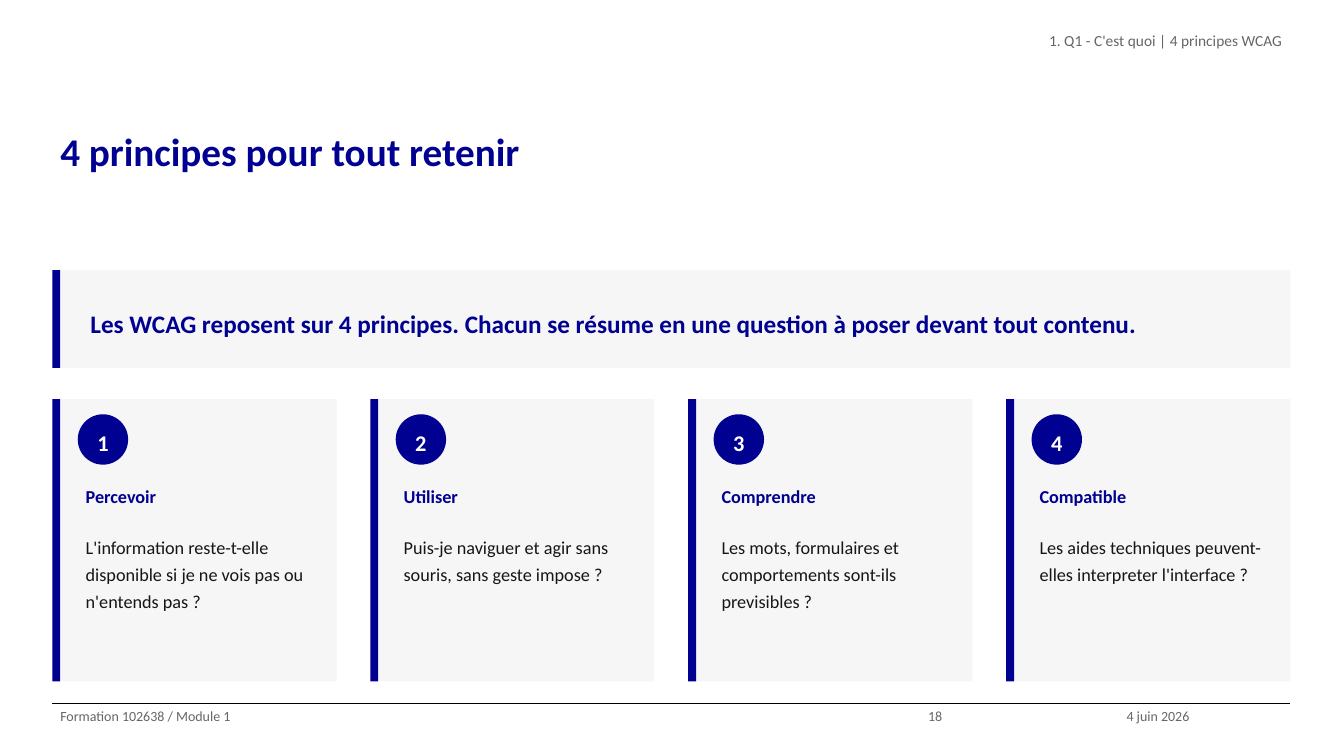
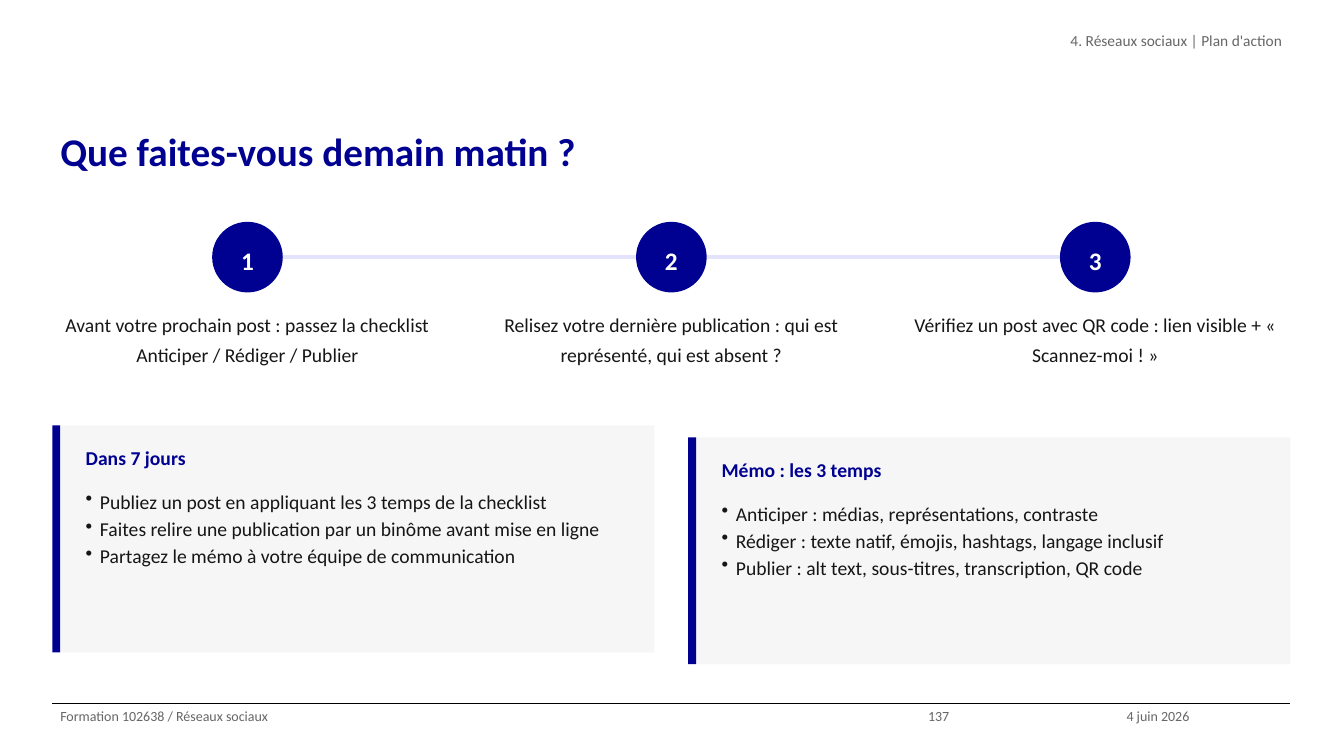
from lxml import etree
from pptx import Presentation
from pptx.dml.color import RGBColor
from pptx.enum import shapes, text
from pptx.oxml.ns import qn
from pptx.util import Cm, Pt

# Content
PRINCIPLES = {
    "title": "4 principes pour tout retenir",
    "section": "1. Q1 - C'est quoi | 4 principes WCAG",
    "footer": "Formation 102638 / Module 1",
    "page": "18",
}
CALLOUT = ("Les WCAG reposent sur 4 principes. Chacun se résume en une question "
           "à poser devant tout contenu.")
CARDS = [
    ("Percevoir", "L'information reste-t-elle disponible si je ne vois pas ou n'entends pas ?"),
    ("Utiliser", "Puis-je naviguer et agir sans souris, sans geste impose ?"),
    ("Comprendre", "Les mots, formulaires et comportements sont-ils previsibles ?"),
    ("Compatible", "Les aides techniques peuvent-elles interpreter l'interface ?"),
]
ACTIONS = {
    "title": "Que faites-vous demain matin ?",
    "section": "4. Réseaux sociaux | Plan d'action",
    "footer": "Formation 102638 / Réseaux sociaux",
    "page": "137",
}
STEPS = [
    "Avant votre prochain post : passez la checklist Anticiper / Rédiger / Publier",
    "Relisez votre dernière publication : qui est représenté, qui est absent ?",
    "Vérifiez un post avec QR code : lien visible + « Scannez-moi ! »",
]
PANELS = [  # top, heading, bullets
    (10.72, "Dans 7 jours", [
        "Publiez un post en appliquant les 3 temps de la checklist",
        "Faites relire une publication par un binôme avant mise en ligne",
        "Partagez le mémo à votre équipe de communication",
    ]),
    (11.02, "Mémo : les 3 temps", [
        "Anticiper : médias, représentations, contraste",
        "Rédiger : texte natif, émojis, hashtags, langage inclusif",
        "Publier : alt text, sous-titres, transcription, QR code",
    ]),
]
DATE = "4 juin 2026"

# Shared style, lengths in centimetres
FONT = "Calibri"
BLUE = RGBColor(0x00, 0x00, 0x91)
LAVENDER = RGBColor(0xE3, 0xE3, 0xFD)
PALE = RGBColor(0xF6, 0xF6, 0xF6)
INK = RGBColor(0x16, 0x16, 0x16)
GREY = RGBColor(0x66, 0x66, 0x66)
BLACK = RGBColor(0, 0, 0)
WHITE = RGBColor(0xFF, 0xFF, 0xFF)
LEFT, WIDTH, GAP, BAR = 1.32, 31.2, 0.85, 0.2
FOOT_Y = 17.73
PAD = 0.64
LEFT_ALIGN, CENTER, RIGHT = text.PP_ALIGN.LEFT, text.PP_ALIGN.CENTER, text.PP_ALIGN.RIGHT
TOP, MIDDLE = text.MSO_ANCHOR.TOP, text.MSO_ANCHOR.MIDDLE


def columns(count):
    """Left edges and common width of equal columns."""
    w = (WIDTH - GAP * (count - 1)) / count
    return [LEFT + i * (w + GAP) for i in range(count)], w


def box(x, y, w, h):
    return Cm(x), Cm(y), Cm(w), Cm(h)


def write(sp, lines, size, color, bold=False, align=LEFT_ALIGN, anchor=TOP,
          inset=0.13, spacing=1.25, bullet=False):
    tf = sp.text_frame
    tf.word_wrap = True
    tf.auto_size = text.MSO_AUTO_SIZE.NONE
    tf.vertical_anchor = anchor
    tf.margin_left = tf.margin_right = Cm(0.2)
    tf.margin_top = tf.margin_bottom = Cm(inset)
    for i, line in enumerate(lines):
        p = tf.add_paragraph() if i else tf.paragraphs[0]
        if bullet:
            pPr = p._p.get_or_add_pPr()
            pPr.set("marL", str(Cm(0.36)))
            pPr.set("indent", str(-Cm(0.36)))
            etree.SubElement(pPr, qn("a:buChar")).set("char", "•")
        p.alignment = align
        p.line_spacing = spacing
        r = p.add_run()
        r.text = line
        r.font.name, r.font.size, r.font.bold = FONT, Pt(size), bold
        r.font.color.rgb = color


def add_text(s, x, y, w, h, lines, size, color, **style):
    write(s.shapes.add_textbox(*box(x, y, w, h)), lines, size, color, **style)


def add_fill(s, kind, x, y, w, h, color):
    sp = s.shapes.add_shape(kind, *box(x, y, w, h))
    sp.shadow.inherit = False
    sp.fill.solid()
    sp.fill.fore_color.rgb = color
    sp.line.fill.background()
    return sp


def add_panel(s, x, y, w, h):
    """Pale block with a blue bar on its left edge."""
    rect = shapes.MSO_SHAPE.RECTANGLE
    add_fill(s, rect, x + BAR, y, w - BAR, h, PALE)
    add_fill(s, rect, x, y, BAR, h, BLUE)


def add_badge(s, x, y, d, number, size):
    sp = add_fill(s, shapes.MSO_SHAPE.OVAL, x, y, d, d, BLUE)
    write(sp, [str(number)], size, WHITE, bold=True, align=CENTER, anchor=MIDDLE)


def add_line(s, x1, x2, y, color, width):
    line = s.shapes.add_connector(shapes.MSO_CONNECTOR.STRAIGHT, Cm(x1), Cm(y), Cm(x2), Cm(y))
    line.line.color.rgb = color
    line.line.width = Pt(width)
    etree.SubElement(line._element.spPr, qn("a:effectLst"))


def add_slide(prs, info):
    """Slide with its title, section label and footer."""
    s = prs.slides.add_slide(prs.slide_layouts[5])
    title = s.shapes.title
    title.left, title.top, title.width, title.height = box(LEFT, 2.92, WIDTH, 2.67)
    write(title, [info["title"]], 28, BLUE, bold=True, inset=0)
    add_text(s, 12.27, 0.66, 20.25, 1.32, [info["section"]], 11, GREY, align=RIGHT, inset=0)
    add_line(s, LEFT, LEFT + WIDTH, FOOT_Y, BLACK, 0.75)
    for x, w, words in [(LEFT, 21.87, info["footer"]), (23.19, 5, info["page"]),
                        (28.19, 4.33, DATE)]:
        add_text(s, x, FOOT_Y, w, 1.32, [words], 10, GREY, inset=0)
    return s


def build_principles(prs):
    s = add_slide(prs, PRINCIPLES)
    # Callout
    add_panel(s, LEFT, 6.81, WIDTH, 2.46)
    add_text(s, LEFT + 0.76, 7.06, 30.18, 1.98, [CALLOUT], 18, BLUE, bold=True, anchor=MIDDLE)
    # Numbered cards
    y = 10.06
    lefts, w = columns(len(CARDS))
    for number, (x, (heading, question)) in enumerate(zip(lefts, CARDS), 1):
        add_panel(s, x, y, w, 7.11)
        add_badge(s, x + PAD, y + 0.38, 1.27, number, 16)
        add_text(s, x + PAD, y + 1.9, w - 1, 1.14, [heading], 13, BLUE, bold=True)
        add_text(s, x + PAD, y + 3.18, w - 1, 3.68, [question], 13, INK)


def build_actions(prs):
    s = add_slide(prs, ACTIONS)
    # Steps joined by lines
    y, d = 5.59, 1.78
    lefts, w = columns(len(STEPS))
    badges = [x + (w - d) / 2 for x in lefts]
    for here, following in zip(badges, badges[1:]):
        add_line(s, here + d, following, y + d / 2, LAVENDER, 3)
    for number, (x, badge, step) in enumerate(zip(lefts, badges, STEPS), 1):
        add_badge(s, badge, y, d, number, 18)
        add_text(s, x, 7.62, w, 2.79, [step], 14, INK, align=CENTER)
    # Checklists
    lefts, w = columns(len(PANELS))
    for x, (top, heading, items) in zip(lefts, PANELS):
        add_panel(s, x, top, w, 5.72)
        add_text(s, x + PAD, top + 0.25, w - 1, 0.89, [heading], 14, BLUE, bold=True)
        add_text(s, x + PAD, top + 1.4, w - 1, 4.06, items, 14, INK, spacing=1.15, bullet=True)


def main():
    prs = Presentation()
    prs.slide_width, prs.slide_height = Cm(33.87), Cm(19.05)
    build_principles(prs)
    build_actions(prs)
    prs.save("out.pptx")


if __name__ == "__main__":
    main()
